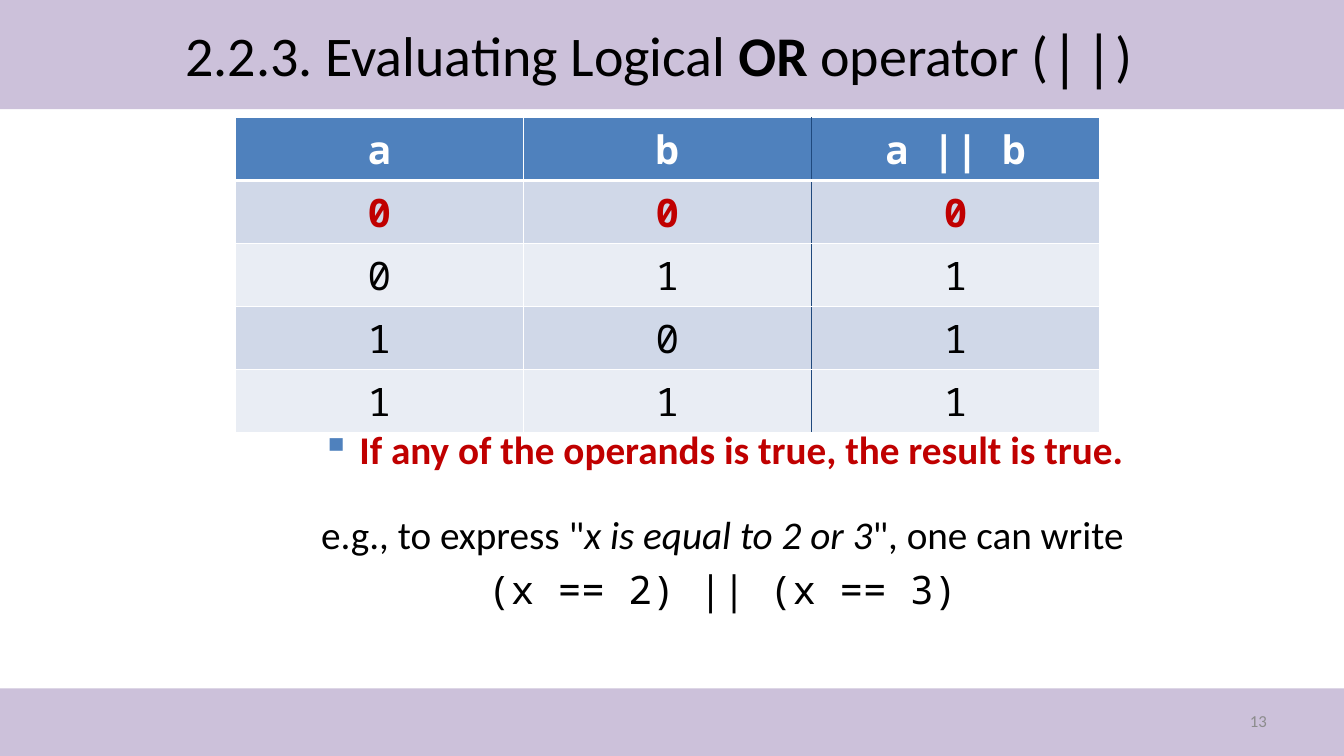
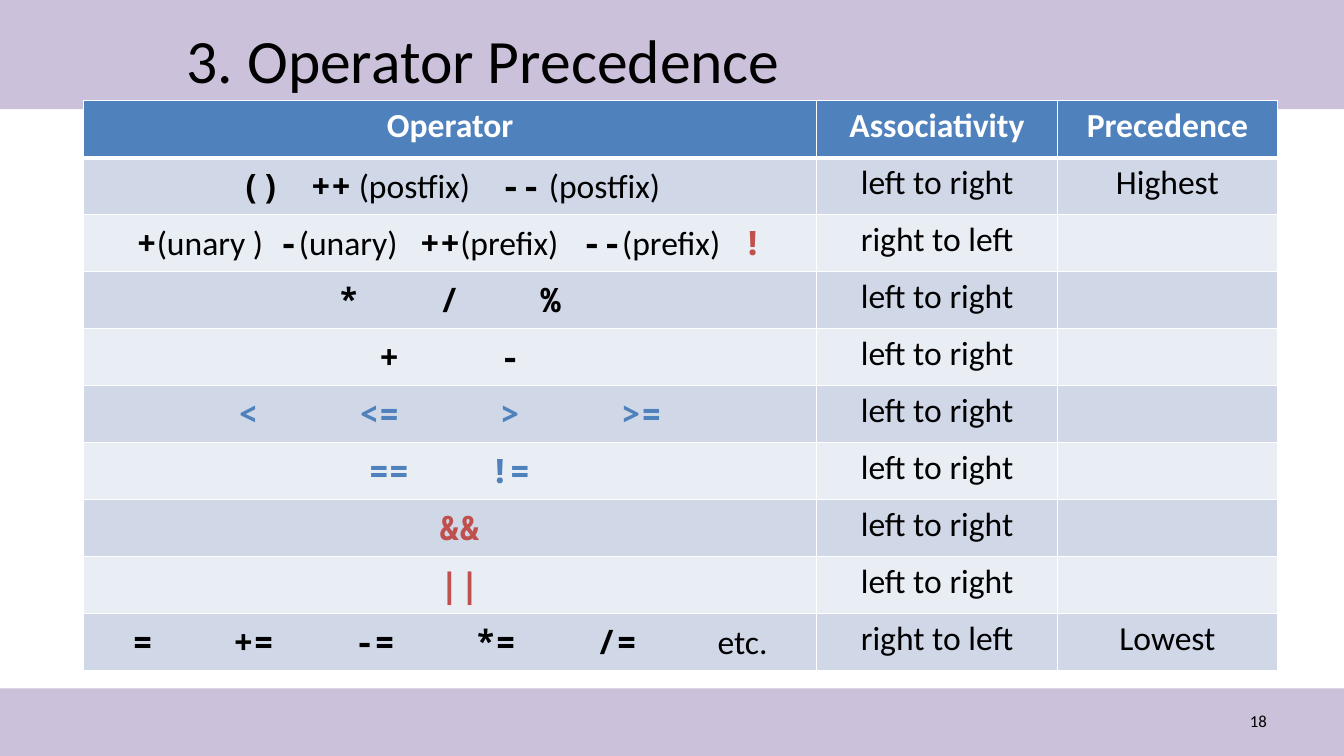
from pptx import Presentation
from pptx.dml.color import RGBColor
from pptx.enum import shapes, text
from pptx.oxml import ns, xmlchemy
from pptx.util import Cm, Pt
from lxml import etree

COLORS = {
    "band": "CCC1DA",
    "black": "000000",
    "white": "FFFFFF",
    "gray": "8C8C8C",
    "blue": "4F81BD",
    "navy": "1F497D",
    "dark_row": "D0D8E8",
    "light_row": "E9EDF4",
    "crimson": "C00000",
    "red": "C0504D",
}
SANS = "Calibri"
MONO = "Noto Sans Mono"
WIDTH, HEIGHT = Cm(33.87), Cm(19.05)
CENTER = text.PP_ALIGN.CENTER
LEFT = text.PP_ALIGN.LEFT
RIGHT = text.PP_ALIGN.RIGHT

TRUTH_ROWS = ["00", "01", "10", "11"]

PRECEDENCE_ROWS = [
    ("left to right", "Highest", "black",
     [(3.7, "()", ""), (5.47, "++", " (postfix)"), (10.26, "--", " (postfix)")]),
    ("right to left", "", "black",
     [(1.08, "+", "(unary )"), (4.66, "-", "(unary)"), (8.22, "++", "(prefix)"),
      (12.3, "--", "(prefix)"), (16.35, "!", "")]),
    ("left to right", "", "black", [(6.17, "*", ""), (8.71, "/", ""), (11.26, "%", "")]),
    ("left to right", "", "black", [(7.19, "+", ""), (10.24, "-", "")]),
    ("left to right", "", "blue",
     [(3.63, "<", ""), (6.68, "<=", ""), (10.24, ">", ""), (13.29, ">=", "")]),
    ("left to right", "", "blue", [(6.93, "==", ""), (9.98, "!=", "")]),
    ("left to right", "", "red", [(8.71, "&&", "")]),
    ("left to right", "", "red", [(8.71, "||", "")]),
    ("right to left", "Lowest", "black",
     [(0.98, "=", ""), (3.52, "+=", ""), (6.57, "-=", ""), (9.62, "*=", ""),
      (12.67, "/=", ""), (15.72, "", "etc.")]),
]


def rgb(name):
    return RGBColor.from_string(COLORS[name])


def add_xml(parent, tag, **attrs):
    return etree.SubElement(parent, ns.qn(tag), {k: str(v) for k, v in attrs.items()})


def add_run(p, content, size, font=SANS, color="black", bold=False, italic=False):
    r = p.add_run()
    r.text = content
    r.font.name = font
    r.font.size = Pt(size)
    r.font.bold = bold
    r.font.italic = italic
    r.font.color.rgb = rgb(color)


def add_bands(slide, layout):
    for top, height in ((0, Cm(2.75)), (Cm(17.35), HEIGHT - Cm(17.35))):
        sp = slide.shapes.add_shape(shapes.MSO_SHAPE.RECTANGLE, 0, top, WIDTH, height)
        sp.shadow.inherit = False
        sp.fill.solid()
        sp.fill.fore_color.rgb = rgb("band")
        sp.line.fill.background()
        layout.shapes.element.insert(2, sp.element)


def set_title(slide, box, size, parts):
    sp = slide.shapes.title
    sp.left, sp.top, sp.width, sp.height = (Cm(v) for v in box)
    tf = sp.text_frame
    tf.word_wrap = True
    tf.auto_size = text.MSO_AUTO_SIZE.NONE
    tf.vertical_anchor = text.MSO_ANCHOR.MIDDLE
    p = tf.paragraphs[0]
    p.alignment = LEFT
    for content, style in parts:
        add_run(p, content, size, **style)


def add_text_box(slide, left, top, width, height):
    sp = slide.shapes.add_textbox(Cm(left), Cm(top), Cm(width), Cm(height))
    sp.text_frame.word_wrap = True
    return sp.text_frame


def add_page_number(slide, number, color):
    tf = add_text_box(slide, 24.28, 17.66, 7.9, 1.01)
    tf.vertical_anchor = text.MSO_ANCHOR.MIDDLE
    p = tf.paragraphs[0]
    p.alignment = RIGHT
    add_run(p, str(number), 12, color=color)


def set_bullet(p, char, color, indent):
    pPr = p._p.get_or_add_pPr()
    pPr.set("marL", str(indent))
    pPr.set("indent", str(-indent))
    add_xml(add_xml(pPr, "a:buClr"), "a:srgbClr", val=COLORS[color])
    add_xml(pPr, "a:buChar", char=char)


def set_tabs(p, stops):
    tabs = add_xml(p._p.get_or_add_pPr(), "a:tabLst")
    for stop in stops:
        add_xml(tabs, "a:tab", pos=Cm(stop), algn="l")


def set_borders(cell, borders):
    tcPr = cell._tc.get_or_add_tcPr()
    for i, side in enumerate("LRTB"):
        color, width = borders.get(side, ("white", 1))
        ln = add_xml(tcPr, "a:ln" + side, w=Pt(width))
        add_xml(add_xml(ln, "a:solidFill"), "a:srgbClr", val=COLORS[color])
        tcPr.insert(i, ln)


def add_table(slide, box, row_count, widths, divider=None):
    left, top, height = (Cm(v) for v in box)
    table = slide.shapes.add_table(
        row_count, len(widths), left, top, Cm(sum(widths)), height).table
    table.horz_banding = False
    for column, width in zip(table.columns, widths):
        column.width = Cm(width)
    for i, row in enumerate(table.rows):
        for j, cell in enumerate(row.cells):
            fill = "blue" if i == 0 else "dark_row" if i % 2 else "light_row"
            cell.fill.solid()
            cell.fill.fore_color.rgb = rgb(fill)
            borders = {}
            if i == 0:
                borders["B"] = ("white", 3)
            elif i == 1:
                borders["T"] = ("white", 3)
            if divider is not None and j == divider:
                borders["L"] = ("navy", 1)
            if divider is not None and j == divider - 1:
                borders["R"] = ("navy", 1)
            set_borders(cell, borders)
    return table


def fill_cell(cell, content, size, **style):
    p = cell.text_frame.paragraphs[0]
    p.alignment = CENTER
    if content:
        add_run(p, content, size, **style)


def fill_operators(cell, color, operators):
    p = cell.text_frame.paragraphs[0]
    p.alignment = LEFT
    set_tabs(p, [stop for stop, _, _ in operators])
    for _, symbol, note in operators:
        shade = "red" if symbol == "!" else color
        add_run(p, "\t" + symbol, 24, font=MONO, color=shade, bold=True)
        if note:
            add_run(p, note, 24)


def build_or_slide(slide):
    set_title(slide, (4.42, 0.2, 24.79, 2.34), 40, [
        ("2.2.3. Evaluating Logical ", {}),
        ("OR", {"bold": True}),
        (" operator (", {}),
        ("||", {"font": MONO}),
        (")", {}),
    ])
    tf = add_text_box(slide, 3.18, 10.59, 30.05, 6.55)
    rule, example, code = tf.paragraphs[0], tf.add_paragraph(), tf.add_paragraph()
    for p in (rule, example, code):
        p.alignment = CENTER
    set_bullet(rule, "▪", "blue", Cm(0.95))
    add_run(rule, "If any of the operands is true, the result is true.", 28,
            color="crimson", bold=True)
    example.space_before = Pt(27)
    add_run(example, 'e.g., to express "', 28)
    add_run(example, "x is equal to 2 or 3", 28, italic=True)
    add_run(example, '", one can write', 28)
    code.space_before = Pt(5.6)
    add_run(code, "(x == 2) || (x == 3)", 28, font=MONO)
    add_page_number(slide, 13, "gray")

    table = add_table(slide, (5.93, 2.96, 7.95), 5, [7.26] * 3, divider=2)
    for j, label in enumerate(("a", "b", "a || b")):
        fill_cell(table.cell(0, j), label, 28, font=MONO, color="white", bold=True)
    for i, operands in enumerate(TRUTH_ROWS, 1):
        result = "1" if "1" in operands else "0"
        is_false = result == "0"
        for j, value in enumerate(operands + result):
            fill_cell(table.cell(i, j), value, 28, font=MONO, bold=is_false,
                      color="crimson" if is_false else "black")


def build_precedence_slide(slide):
    add_page_number(slide, 18, "black")
    set_title(slide, (4.45, 0.43, 24.97, 2.11), 44, [("3. Operator Precedence", {})])
    table = add_table(slide, (2.11, 2.54, 14.35), 10, [18.47, 6.07, 5.54])
    for j, label in enumerate(("Operator", "Associativity", "Precedence")):
        fill_cell(table.cell(0, j), label, 24, color="white", bold=True)
    for i, (associativity, precedence, color, operators) in enumerate(PRECEDENCE_ROWS, 1):
        fill_operators(table.cell(i, 0), color, operators)
        fill_cell(table.cell(i, 1), associativity, 24)
        fill_cell(table.cell(i, 2), precedence, 24)


def main():
    prs = Presentation()
    prs.slide_width, prs.slide_height = WIDTH, HEIGHT
    layout = prs.slide_layouts[5]
    builders = (build_or_slide, build_precedence_slide)
    slides = [prs.slides.add_slide(layout) for _ in builders]
    add_bands(slides[0], layout)
    for slide, build in zip(slides, builders):
        build(slide)
    prs.save("out.pptx")


if __name__ == "__main__":
    main()
